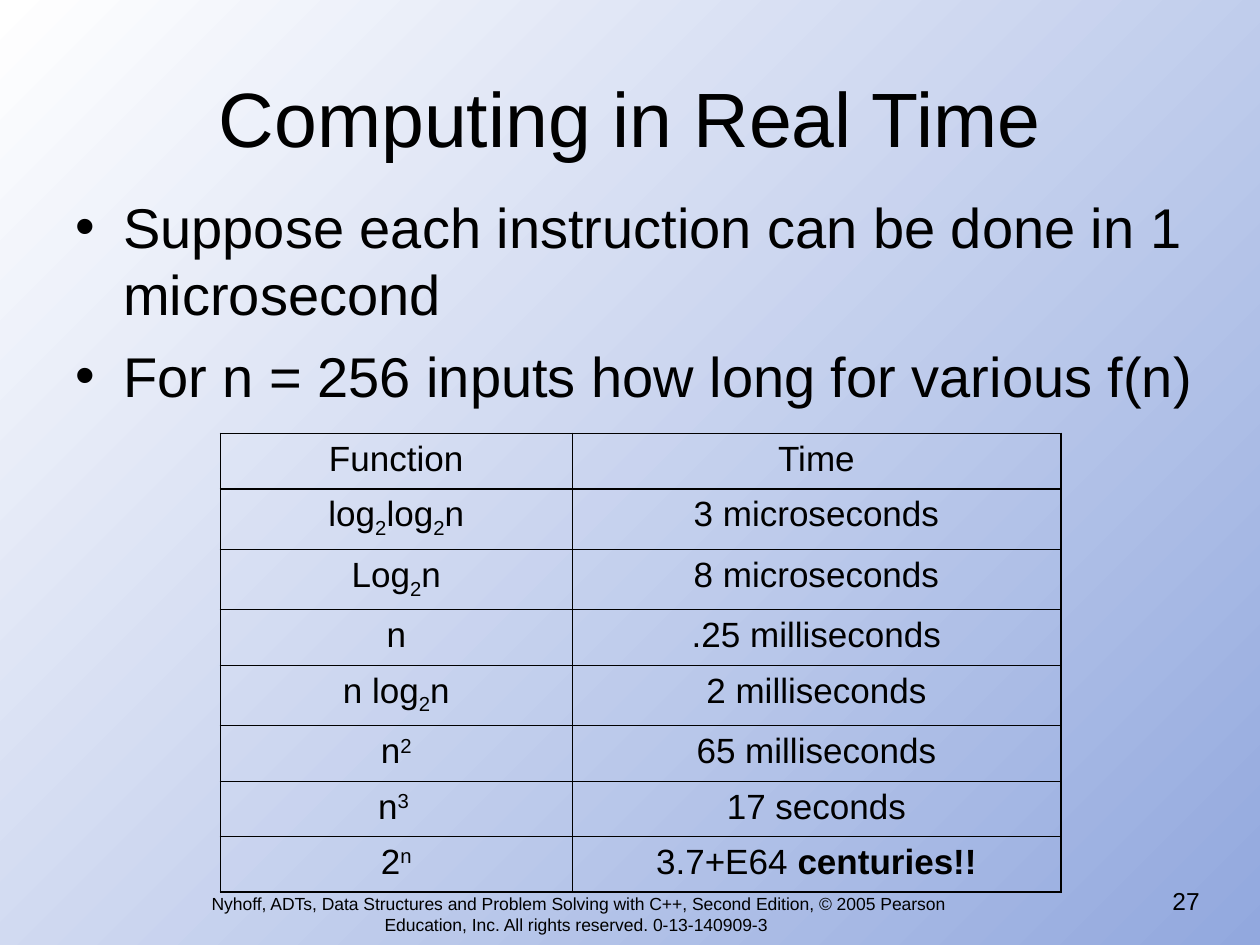
"""Build the slide on computing times for various growth functions."""
import pptx
import pptx.util
import pptx.dml.color
import pptx.enum.text
import pptx.oxml
import pptx.oxml.ns

Inches, Pt = pptx.util.Inches, pptx.util.Pt
RGBColor = pptx.dml.color.RGBColor
Align = pptx.enum.text.PP_ALIGN
Anchor = pptx.enum.text.MSO_ANCHOR
BLACK = RGBColor(0x00, 0x00, 0x00)
BLUE = RGBColor(0x92, 0xA8, 0xDE)
WHITE = RGBColor(0xFF, 0xFF, 0xFF)
NS = pptx.oxml.ns.nsdecls("a")


def style(para, size, align):
    para.alignment = align
    for run in para.runs:
        run.font.name = "Arial"
        run.font.size = Pt(size)
        run.font.color.rgb = BLACK


def add_text(box, text, size, align, anchor=Anchor.TOP):
    frame = slide.shapes.add_textbox(*map(Inches, box)).text_frame
    frame.word_wrap = True
    frame.vertical_anchor = anchor
    frame.text = text
    for para in frame.paragraphs:
        style(para, size, align)
    return frame


deck = pptx.Presentation()
deck.slide_width, deck.slide_height = Inches(10), Inches(7.5)
slide = deck.slides.add_slide(deck.slide_layouts[6])

back = slide.background.fill
back.gradient()
back.gradient_angle = 135
for stop, color in zip(back.gradient_stops, (BLUE, WHITE)):
    stop.color.rgb = color

add_text((0.5, 0.3, 9, 1.25), "Computing in Real Time", 44, Align.CENTER, Anchor.MIDDLE)

points = (
    "Suppose each instruction can be done in 1 microsecond\n"
    "For n = 256 inputs how long for various f(n)"
)
body = add_text((0.5, 1.48, 9.5, 5.22), points, 32, Align.LEFT)
for para in body.paragraphs:
    props = para._p.get_or_add_pPr()
    props.set("marL", str(Inches(0.38)))
    props.set("indent", str(-Inches(0.38)))
    props.append(pptx.oxml.parse_xml(f'<a:buFont {NS} typeface="Arial"/>'))
    props.append(pptx.oxml.parse_xml(f'<a:buChar {NS} char="•"/>'))
body.paragraphs[1].space_before = Pt(8)

SUB, SUP = -25000, 30000
two = ("2", SUB)
rows = [
    (0.44, ["Function"], "Time"),
    (0.48, ["log", two, "log", two, "n"], "3 microseconds"),
    (0.48, ["Log", two, "n"], "8 microseconds"),
    (0.44, ["n"], ".25 milliseconds"),
    (0.48, ["n log", two, "n"], "2 milliseconds"),
    (0.44, ["n", ("2", SUP)], "65 milliseconds"),
    (0.44, ["n", ("3 ", SUP)], "17 seconds"),
    (0.44, ["2", ("n", SUP)], "3.7+E64 "),
]
widths = (2.79, 3.88)
high = sum(row[0] for row in rows)
table = slide.shapes.add_table(
    len(rows), 2, Inches(1.75), Inches(3.44), Inches(sum(widths)), Inches(high)
).table
table.first_row = table.horz_banding = False
for col, width in zip(table.columns, widths):
    col.width = Inches(width)

THIN, EDGE, HEAD = 0.45, 1.08, 1.47
levels = [EDGE, HEAD] + [THIN] * (len(rows) - 2) + [EDGE]
sides = [EDGE, THIN, EDGE]
for i, (height, func, time) in enumerate(rows):
    table.rows[i].height = Inches(height)
    for j, parts in enumerate((func, [time])):
        cell = table.cell(i, j)
        para = cell.text_frame.paragraphs[0]
        for part in parts:
            text, base = (part, 0) if isinstance(part, str) else part
            run = para.add_run()
            run.text = text
            if base:
                run._r.get_or_add_rPr().set("baseline", str(base))
        if (i, j) == (len(rows) - 1, 1):
            run = para.add_run()
            run.text = "centuries!!"
            run.font.bold = True
        style(para, 20, Align.CENTER)
        lines = zip("LRTB", (sides[j], sides[j + 1], levels[i], levels[i + 1]))
        for side, width in lines:
            cell._tc.get_or_add_tcPr().append(pptx.oxml.parse_xml(
                f'<a:ln{side} {NS} w="{Pt(width)}"><a:solidFill>'
                f'<a:srgbClr val="{BLACK}"/></a:solidFill></a:ln{side}>'
            ))
        cell.fill.background()

credit = (
    "Nyhoff, ADTs, Data Structures and Problem Solving with C++, Second Edition, "
    "© 2005 Pearson Education, Inc. All rights reserved. 0-13-140909-3 "
)
add_text((1.54, 7.04, 6.1, 0.46), credit, 10, Align.CENTER)
add_text((7.29, 6.98, 2.33, 0.52), "27", 14, Align.RIGHT)

deck.save("out.pptx")
